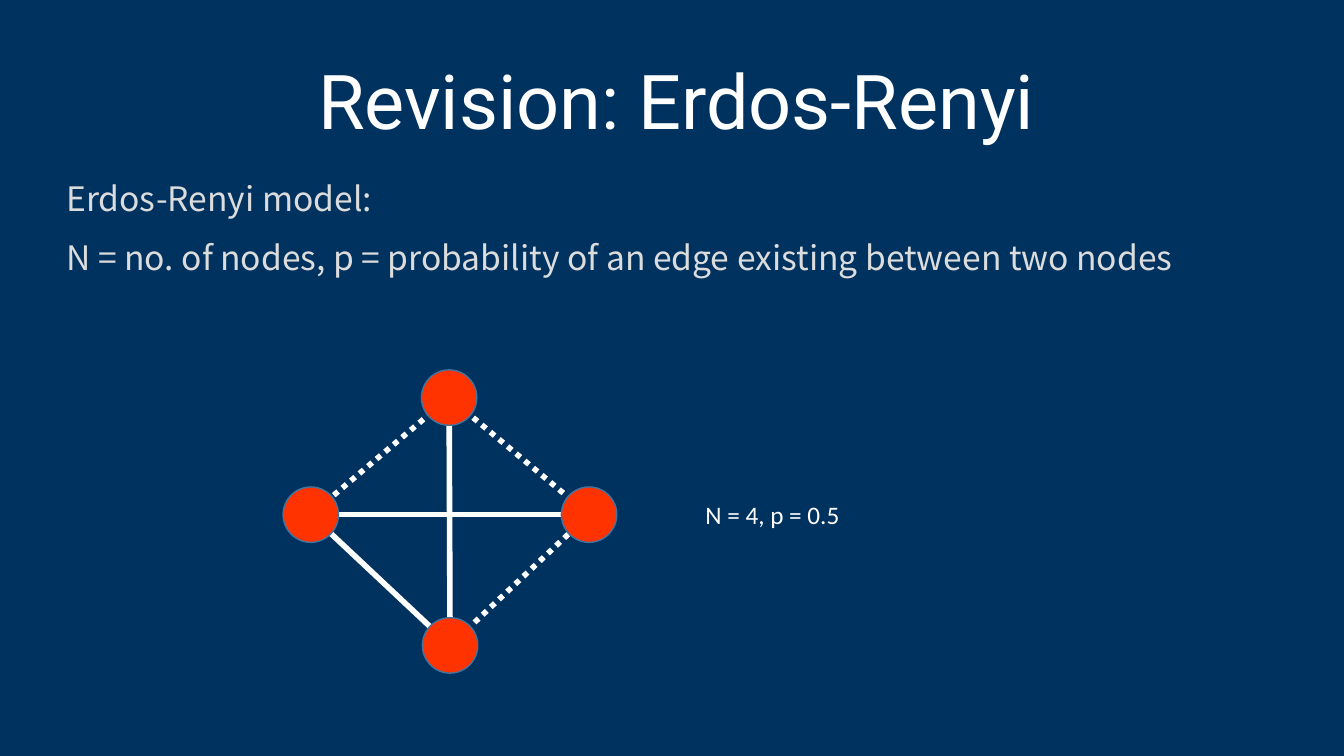
import pptx
import pptx.util
import pptx.dml.color
import pptx.enum.dml
import pptx.enum.shapes
import pptx.enum.text
import pptx.oxml

Pt = pptx.util.Pt
PP_ALIGN = pptx.enum.text.PP_ALIGN
MSO_ANCHOR = pptx.enum.text.MSO_ANCHOR

COLORS = {
    "background": "003260",
    "white": "FFFFFF",
    "body": "DCDCDC",
    "node": "FF3300",
    "node_line": "43739E",
}
TITLE = "Revision: Erdos-Renyi"
DEFINITION = [
    "Erdos-Renyi model:",
    "N = no. of nodes, p = probability of an edge existing between two nodes",
]
PARAMETERS = "N = 4, p = 0.5"

# Node centres
NODES = {
    "top": (320.8, 284),
    "left": (222, 367.6),
    "bottom": (321.5, 461),
    "right": (420.8, 367.6),
}
NODE_SIZE = 39.6
# From, to, whether the edge exists
EDGES = [
    ("right", "top", False),
    ("top", "left", False),
    ("bottom", "right", False),
    ("left", "right", True),
    ("bottom", "top", True),
    ("bottom", "left", True),
]


def rgb(name):
    return pptx.dml.color.RGBColor.from_string(COLORS[name])


def place(shape, left, top, width, height):
    shape.left, shape.top = Pt(left), Pt(top)
    shape.width, shape.height = Pt(width), Pt(height)


def write(shape, lines, font_name, size, color, align, anchor=MSO_ANCHOR.TOP,
          line_spacing=None, space_after=None):
    frame = shape.text_frame
    frame.word_wrap = True
    frame.auto_size = pptx.enum.text.MSO_AUTO_SIZE.NONE
    frame.vertical_anchor = anchor
    frame.text = "\n".join(lines)
    for paragraph in frame.paragraphs:
        paragraph.alignment = align
        paragraph.line_spacing = line_spacing
        paragraph.space_after = space_after
        paragraph.font.name = font_name
        paragraph.font.size = Pt(size)
        paragraph.font.color.rgb = rgb(color)


def add_edge(slide, start, end, exists):
    edge = slide.shapes.add_connector(
        pptx.enum.shapes.MSO_CONNECTOR.STRAIGHT,
        *(Pt(value) for value in NODES[start] + NODES[end]))
    edge.line.color.rgb = rgb("white")
    edge.line.width = Pt(4)
    if not exists:
        edge.line.dash_style = pptx.enum.dml.MSO_LINE.ROUND_DOT
    properties = edge._element.spPr
    properties.append(pptx.oxml.parse_xml(
        '<a:effectLst xmlns:a="http://schemas.openxmlformats.org/drawingml/2006/main"/>'))


def add_node(slide, x, y):
    node = slide.shapes.add_shape(
        pptx.enum.shapes.MSO_SHAPE.OVAL, Pt(x - NODE_SIZE / 2),
        Pt(y - NODE_SIZE / 2), Pt(NODE_SIZE), Pt(NODE_SIZE))
    node.shadow.inherit = False
    node.fill.solid()
    node.fill.fore_color.rgb = rgb("node")
    node.line.color.rgb = rgb("node_line")
    node.line.width = Pt(1)


def main():
    presentation = pptx.Presentation()
    presentation.slide_width, presentation.slide_height = Pt(960), Pt(540)
    slide = presentation.slides.add_slide(presentation.slide_layouts[5])
    slide.background.fill.solid()
    slide.background.fill.fore_color.rgb = rgb("background")

    for start, end, exists in EDGES:
        add_edge(slide, start, end, exists)

    title = slide.shapes.title
    place(title, 40.3, 40.3, 885.6, 67.7)
    write(title, [TITLE], "Roboto", 54, "white", PP_ALIGN.CENTER,
          MSO_ANCHOR.BOTTOM, line_spacing=0.9)

    definition = slide.shapes.add_textbox(Pt(40.3), Pt(126.7), Pt(885.6), Pt(106.6))
    write(definition, DEFINITION, "Noto Sans CJK JP", 24, "body",
          PP_ALIGN.JUSTIFY, line_spacing=0.9, space_after=Pt(16))

    for x, y in NODES.values():
        add_node(slide, x, y)

    parameters = slide.shapes.add_textbox(Pt(496.8), Pt(352.8), Pt(297.4), Pt(28.8))
    write(parameters, [PARAMETERS], "Calibri", 18, "white", PP_ALIGN.LEFT)

    presentation.save("out.pptx")


if __name__ == "__main__":
    main()
